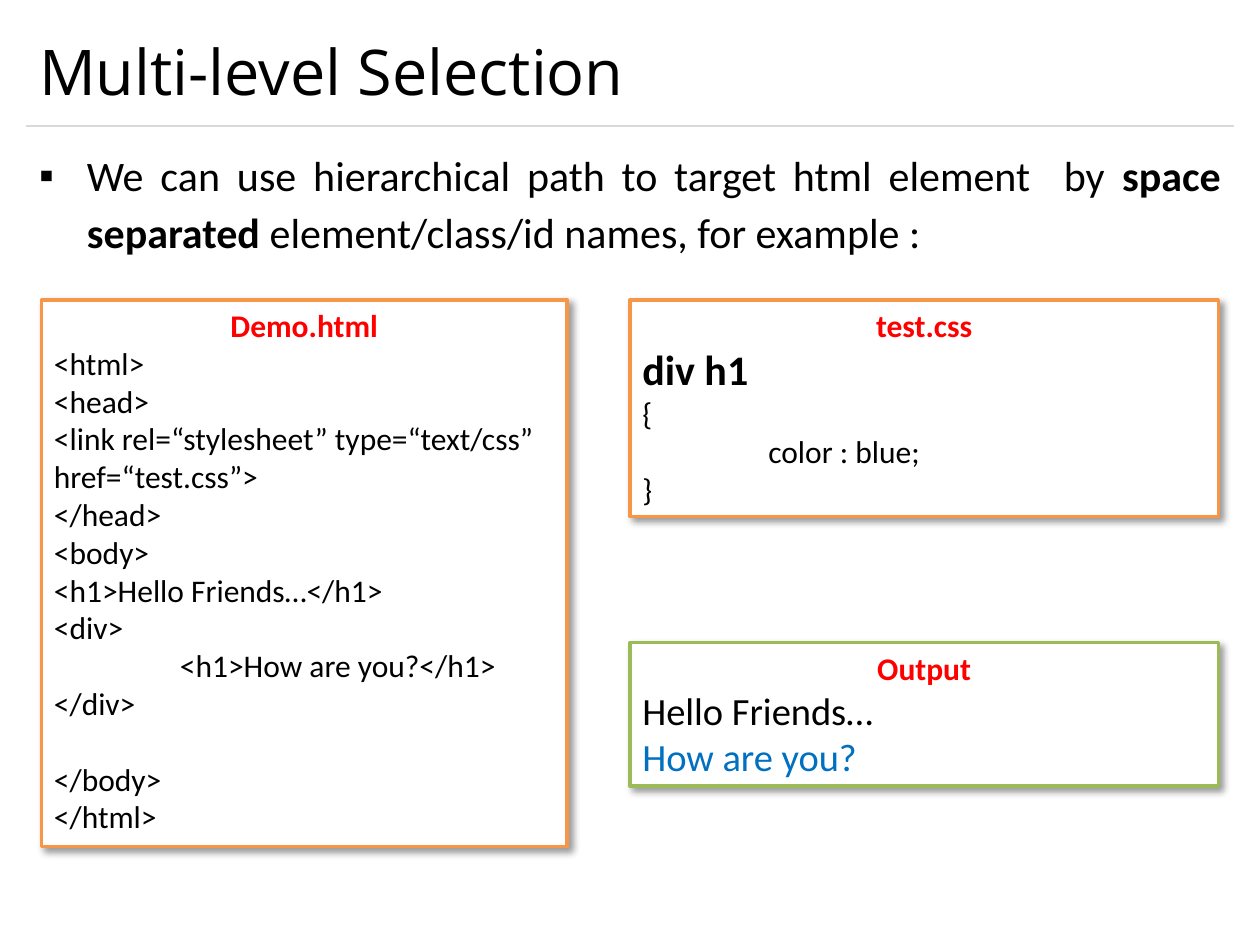
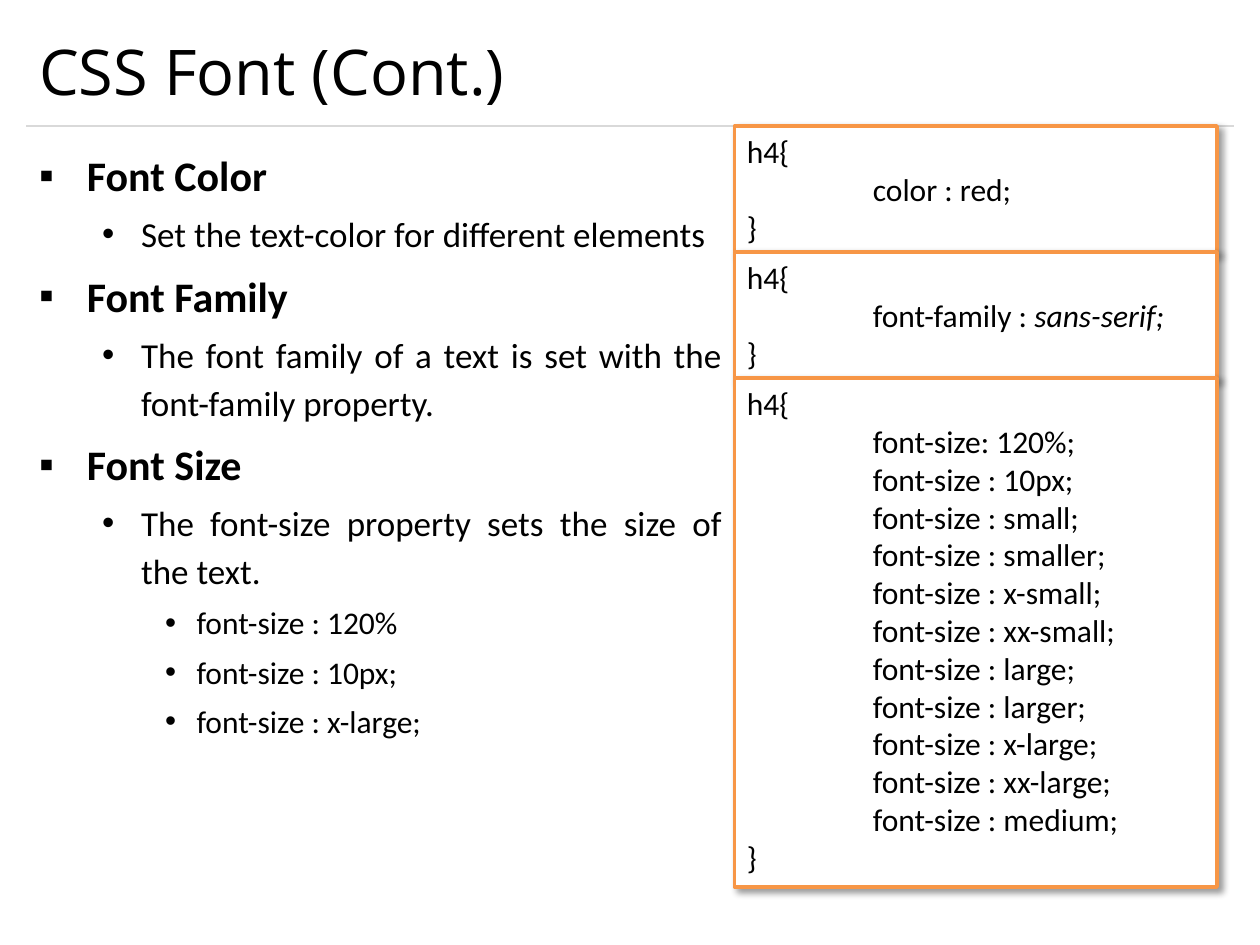
import pptx
import pptx.util
import pptx.dml.color
import pptx.enum.shapes
import pptx.enum.text
import pptx.oxml
import pptx.oxml.ns

Inches = pptx.util.Inches
Pt = pptx.util.Pt
ALIGN = pptx.enum.text.PP_ALIGN
ANCHOR = pptx.enum.text.MSO_ANCHOR
AUTO = pptx.enum.text.MSO_AUTO_SIZE
qn = pptx.oxml.ns.qn

BLACK, WHITE, RED, BLUE = "000000", "FFFFFF", "FF0000", "0070C0"
ORANGE, GREEN, GREY = "F79646", "9BBB59", "D9D9D9"

NS = 'xmlns:a="http://schemas.openxmlformats.org/drawingml/2006/main"'
SHADOW = (
    f'<a:outerShdw {NS} blurRad="50800" dist="38100" dir="2700000" algn="tl" rotWithShape="0">'
    '<a:srgbClr val="000000"><a:alpha val="40000"/></a:srgbClr></a:outerShdw>'
)

LEVELS = [
    {"size": 24, "char": "▪", "left": 0.38, "hang": 0.38},
    {"size": 20, "char": "•", "left": 0.81, "hang": 0.31},
    {"size": 18, "char": "•", "left": 1.25, "hang": 0.25},
]

BASE = {"name": "Calibri", "size": 18, "bold": False, "color": BLACK}
STRONG = {"bold": True}
HEADING = {"bold": True, "color": RED}


def paint(target, color):
    target.rgb = pptx.dml.color.RGBColor.from_string(color)


def add_text(tf, i, runs, para, base):
    p = tf.paragraphs[0] if i == 0 else tf.add_paragraph()
    for name, value in para.items():
        setattr(p, name, value)
    for text, extra in runs:
        r = p.add_run()
        r.text = text
        font = {**BASE, **base, **extra}
        font["size"] = Pt(font["size"])
        paint(r.font.color, font.pop("color"))
        for name, value in font.items():
            setattr(r.font, name, value)
    return p


slides = [
    {
        "title": "Multi-level Selection",
        "body": (9.58, 1.17),
        "list": [
            (0, ALIGN.JUSTIFY, [
                ("We can use hierarchical path to target html element  by ", {}),
                ("space separated", STRONG),
                (" element/class/id names, for example :", {}),
            ]),
        ],
        "boxes": [
            (0.33, 2.38, 4.17, 4.34, ORANGE, "Demo.html", [
                ("<html>", {}),
                ("<head>", {}),
                ("<link rel=“stylesheet” type=“text/css” href=“test.css”>", {}),
                ("</head>", {}),
                ("<body>", {}),
                ("<h1>Hello Friends…</h1>", {}),
                ("<div>", {}),
                ("\t<h1>How are you?</h1>", {}),
                ("</div>", {}),
                ("</body>", {"gap": 21.6}),
                ("</html>", {}),
            ]),
            (5, 2.38, 4.67, 1.72, ORANGE, "test.css", [
                ("div h1", {"size": 24, "bold": True}),
                ("{", {}),
                ("\tcolor : blue;", {}),
                ("}", {}),
            ]),
            (5, 5.1, 4.67, 1.14, GREEN, "Output", [
                ("Hello Friends…", {"size": 22}),
                ("How are you?", {"size": 22, "color": BLUE}),
            ]),
        ],
    },
    {
        "title": "CSS Font (Cont.)",
        "body": (5.62, 5.83),
        "list": [
            (0, ALIGN.LEFT, [("Font Color", STRONG)]),
            (1, ALIGN.JUSTIFY, [("Set the text-color for different elements", {})]),
            (0, ALIGN.LEFT, [("Font Family", STRONG)]),
            (1, ALIGN.JUSTIFY, [("The font family of a text is set with the font-family property.", {})]),
            (0, ALIGN.LEFT, [("Font Size", STRONG)]),
            (1, ALIGN.JUSTIFY, [("The font-size property sets the size of the text.", {})]),
            (2, ALIGN.JUSTIFY, [("font-size : 120%", {})]),
            (2, ALIGN.JUSTIFY, [("font-size : 10px;", {})]),
            (2, ALIGN.JUSTIFY, [("font-size : x-large;", {})]),
        ],
        "boxes": [
            (5.83, 1, 3.83, 1.01, ORANGE, None, [
                ("h4{", {}),
                ("\tcolor : red;", {}),
                ("}", {}),
            ]),
            (5.83, 2, 3.83, 1.01, ORANGE, None, [
                ("h4{", {}),
                ("\tfont-family : ", {"tail": "sans-serif;"}),
                ("}", {}),
            ]),
            (5.83, 3, 3.83, 4.04, ORANGE, None, [
                ("h4{", {}),
                ("\tfont-size: 120%;", {}),
                *[(f"\tfont-size : {size};", {}) for size in (
                    "10px", "small", "smaller", "x-small", "xx-small",
                    "large", "larger", "x-large", "xx-large", "medium")],
                ("}", {}),
            ]),
        ],
    },
]

prs = pptx.Presentation()
prs.slide_width, prs.slide_height = Inches(10), Inches(7.5)

for content in slides:
    s = prs.slides.add_slide(prs.slide_layouts[1])
    s.background.fill.solid()
    paint(s.background.fill.fore_color, WHITE)

    rule = s.shapes.add_connector(
        pptx.enum.shapes.MSO_CONNECTOR.STRAIGHT,
        Inches(0.21), Inches(1), Inches(9.79), Inches(1))
    rule.line.width = Pt(0.75)
    paint(rule.line.color, GREY)
    rule._element.spPr.append(pptx.oxml.parse_xml(f"<a:effectLst {NS}/>"))

    title, body = s.placeholders
    for sp, box, anchor in (
        (title, (0.21, 0.12, 9.58, 0.88), ANCHOR.MIDDLE),
        (body, (0.21, 1.08, *content["body"]), ANCHOR.TOP),
    ):
        sp.left, sp.top, sp.width, sp.height = map(Inches, box)
        tf = sp.text_frame
        tf.word_wrap, tf.auto_size, tf.vertical_anchor = True, AUTO.NONE, anchor

    add_text(title.text_frame, 0, [(content["title"], {})],
             {"alignment": ALIGN.LEFT}, {"name": "Open Sans", "size": 36})

    for i, (level, align, runs) in enumerate(content["list"]):
        fmt = LEVELS[level]
        para = {"level": level, "alignment": align, "line_spacing": 1.14,
                "space_before": Pt(0.2 * fmt["size"] if i else 0)}
        p = add_text(body.text_frame, i, runs, para, {"size": fmt["size"]})
        pPr = p._p.get_or_add_pPr()
        pPr.set("marL", str(Inches(fmt["left"])))
        pPr.set("indent", str(-Inches(fmt["hang"])))
        bullet = pptx.oxml.parse_xml(f"<a:buChar {NS}/>")
        bullet.set("char", fmt["char"])
        pPr.append(bullet)

    for left, top, width, height, color, heading, lines in content["boxes"]:
        sp = s.shapes.add_shape(
            pptx.enum.shapes.MSO_SHAPE.RECTANGLE,
            Inches(left), Inches(top), Inches(width), Inches(height))
        sp.fill.solid()
        paint(sp.fill.fore_color, WHITE)
        paint(sp.line.color, color)
        sp.line.width = Pt(2)
        sp.shadow.inherit = False
        sp._element.spPr.find(qn("a:effectLst")).append(pptx.oxml.parse_xml(SHADOW))
        tf = sp.text_frame
        tf.word_wrap, tf.auto_size, tf.vertical_anchor = True, AUTO.SHAPE_TO_FIT_TEXT, ANCHOR.TOP
        if heading:
            add_text(tf, 0, [(heading, {})], {"alignment": ALIGN.CENTER}, HEADING)
        for i, (text, extra) in enumerate(lines, start=1 if heading else 0):
            font = dict(extra)
            para = {"alignment": ALIGN.LEFT, "space_before": Pt(font.pop("gap", 0))}
            tail = font.pop("tail", None)
            runs = [(text, font)] + ([(tail, {"italic": True})] if tail else [])
            p = add_text(tf, i, runs, para, {})
            if text.startswith("\t"):
                pPr = p._p.get_or_add_pPr()
                pPr.append(pptx.oxml.parse_xml(
                    f'<a:tabLst {NS}><a:tab pos="{Inches(1)}" algn="l"/></a:tabLst>'))

prs.save("out.pptx")
